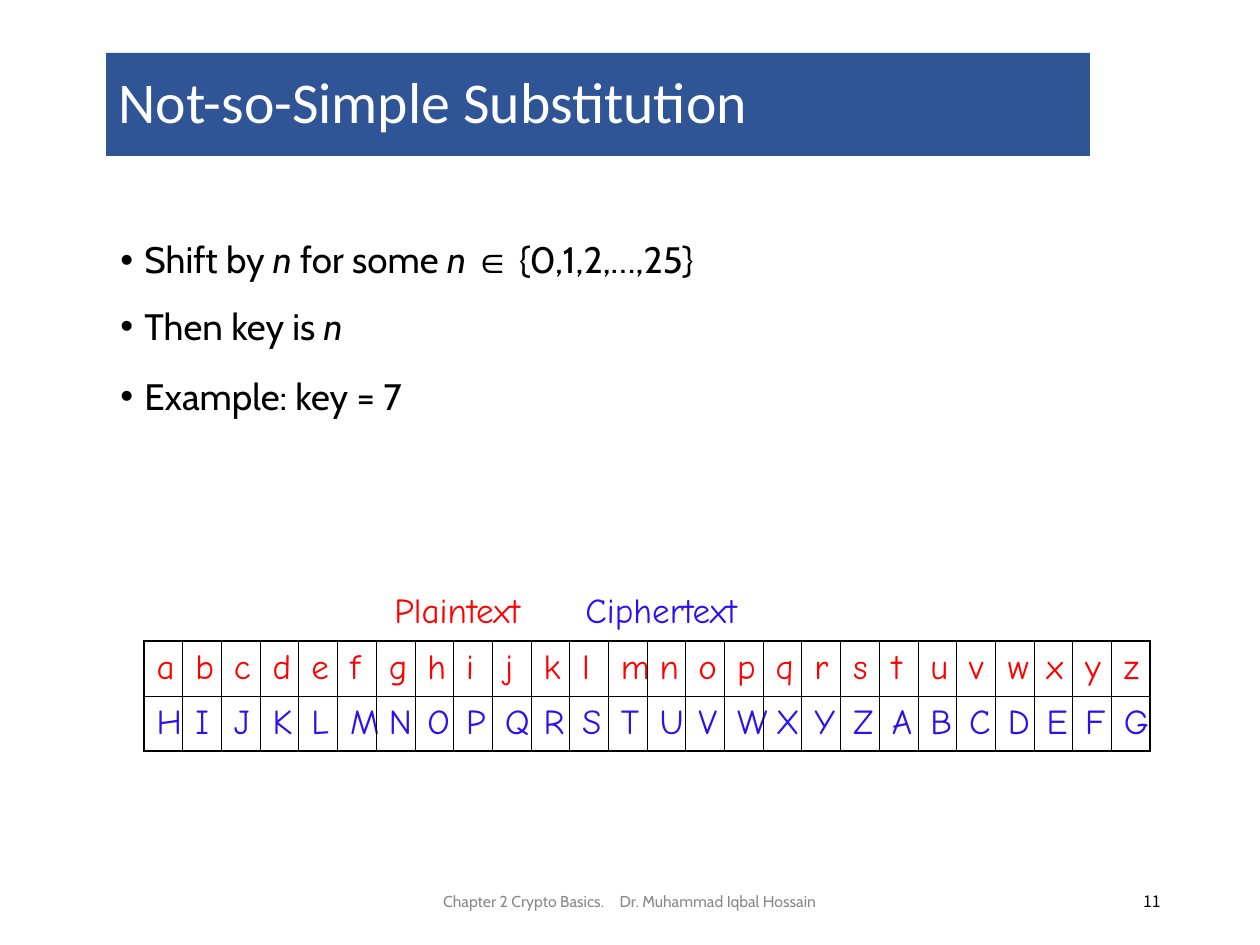
from lxml.etree import SubElement
from pptx import Presentation
from pptx.dml.color import RGBColor
from pptx.enum.text import MSO_ANCHOR, MSO_AUTO_SIZE, PP_ALIGN
from pptx.oxml import parse_xml
from pptx.oxml.ns import nsdecls, qn
from pptx.util import Pt

PX = 914400 / 126
WHITE = RGBColor(0xFF, 0xFF, 0xFF)
BLACK = RGBColor(0, 0, 0)
GRAY = RGBColor(0x89, 0x89, 0x89)
BAND_BLUE = RGBColor(0x2F, 0x55, 0x97)
PLAIN_RED = RGBColor(0xFF, 0, 0)
CIPHER_BLUE = RGBColor(0x2B, 0x10, 0xF0)
KEY = 7
THIN, THICK = Pt(0.45), Pt(1.08)


def px(*lengths):
    """Turn pixel lengths into a list of EMU lengths."""
    return [round(n * PX) for n in lengths]


def add_run(p, text, font, size, color, italic=False):
    r = p.add_run()
    r.text = text
    r.font.name, r.font.size, r.font.italic = font, Pt(size), italic
    r.font.color.rgb = color


prs = Presentation()
prs.slide_width, prs.slide_height = px(1260, 945)
s = prs.slides.add_slide(prs.slide_layouts[5])

# Title band
title = s.shapes.title
title.left, title.top, title.width, title.height = px(106, 53, 984, 103)
title.fill.solid()
title.fill.fore_color.rgb = BAND_BLUE
title.text_frame.vertical_anchor = MSO_ANCHOR.MIDDLE
p = title.text_frame.paragraphs[0]
p.alignment = PP_ALIGN.LEFT
p.line_spacing = 0.9
add_run(p, "Not-so-Simple Substitution", "Calibri", 33, WHITE)

# Bullets: line spacing, then runs of text, font and italic
bullets = [
    (0.9, [("Shift by ", "Cabin", False), ("n", "Cabin", True),
           (" for some ", "Cabin", False), ("n ", "Cabin", True),
           ("∈", "Arial", False), (" {0,1,2,…,25}", "Cabin", False)]),
    (1.2, [("Then key is ", "Cabin", False), ("n", "Cabin", True)]),
    (1.3, [(f"Example: key = {KEY}", "Cabin", False)]),
]
tf = s.shapes.add_textbox(*px(108, 236, 1075, 289)).text_frame
tf.word_wrap = True
indent = px(24)[0]
for i, (spacing, runs) in enumerate(bullets):
    p = tf.add_paragraph() if i else tf.paragraphs[0]
    pPr = p._p.get_or_add_pPr()
    pPr.set("marL", str(indent))
    pPr.set("indent", str(-indent))
    SubElement(SubElement(pPr, qn("a:buClr")), qn("a:srgbClr")).set("val", str(BLACK))
    SubElement(pPr, qn("a:buFont")).set("typeface", "Arial")
    SubElement(pPr, qn("a:buChar")).set("char", "•")
    p.line_spacing = spacing
    if i:
        p.space_before = Pt(7.5)
    for text, font, italic in runs:
        add_run(p, text, font, 21, BLACK, italic)

# Footer and slide number
for box, text, font, color, align in [
    ((417, 876, 425, 50), "Chapter 2 Crypto Basics.\u2003Dr. Muhammad Iqbal Hossain",
     "Cabin", GRAY, PP_ALIGN.CENTER),
    ((890, 876, 283, 50), "11", "Noto Sans CJK KR", BLACK, PP_ALIGN.RIGHT),
]:
    tf = s.shapes.add_textbox(*px(*box)).text_frame
    tf.word_wrap = True
    tf.vertical_anchor = MSO_ANCHOR.MIDDLE
    p = tf.paragraphs[0]
    p.alignment = align
    add_run(p, text, font, 9, color)

# Substitution table
plain = "abcdefghijklmnopqrstuvwxyz"
cipher = (plain[KEY:] + plain[:KEY]).upper()
rows = [(plain, PLAIN_RED), (cipher, CIPHER_BLUE)]
last_row, last_col = len(rows) - 1, len(plain) - 1
table = s.shapes.add_table(len(rows), len(plain), *px(144, 641, 1007, 110)).table
table.first_row = table.horz_banding = False
for i, (letters, color) in enumerate(rows):
    for j, letter in enumerate(letters):
        cell = table.cell(i, j)
        cell.fill.background()
        cell.vertical_anchor = MSO_ANCHOR.MIDDLE
        add_run(cell.text_frame.paragraphs[0], letter, "Comic Neue", 20, color)
        outer = {"L": j == 0, "R": j == last_col, "T": i == 0, "B": i == last_row}
        for k, (side, is_outer) in enumerate(outer.items()):
            cell._tc.get_or_add_tcPr().insert(k, parse_xml(
                f'<a:ln{side} {nsdecls("a")} w="{THICK if is_outer else THIN}">'
                f'<a:solidFill><a:srgbClr val="{BLACK}"/></a:solidFill></a:ln{side}>'))

# Table captions
for box, text, color in [
    ((382, 582, 152, 55), "Plaintext", PLAIN_RED),
    ((573, 582, 178, 55), "Ciphertext", CIPHER_BLUE),
]:
    tf = s.shapes.add_textbox(*px(*box)).text_frame
    tf.word_wrap = False
    tf.auto_size = MSO_AUTO_SIZE.SHAPE_TO_FIT_TEXT
    add_run(tf.paragraphs[0], text, "Comic Neue", 20, color)

prs.save("out.pptx")
